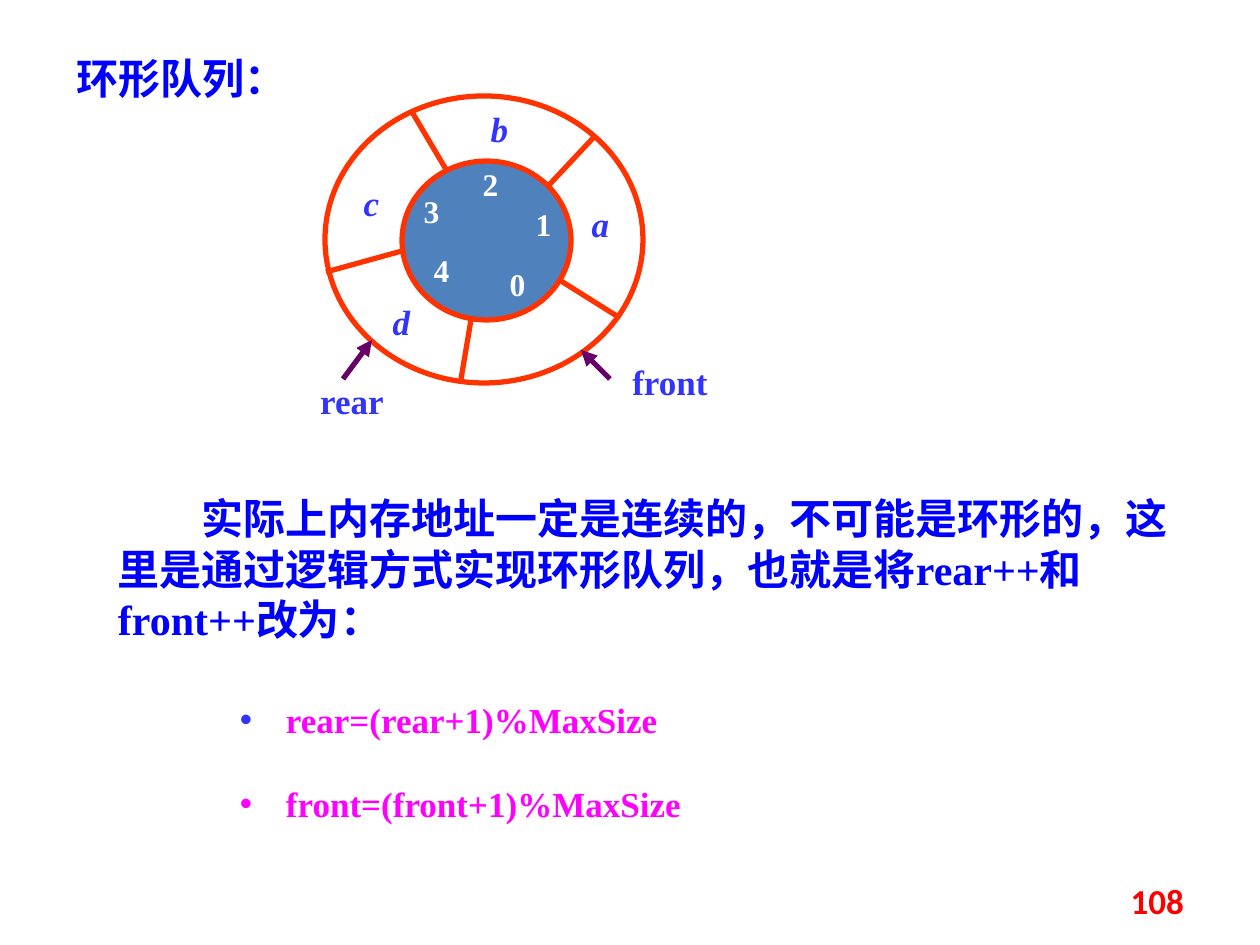
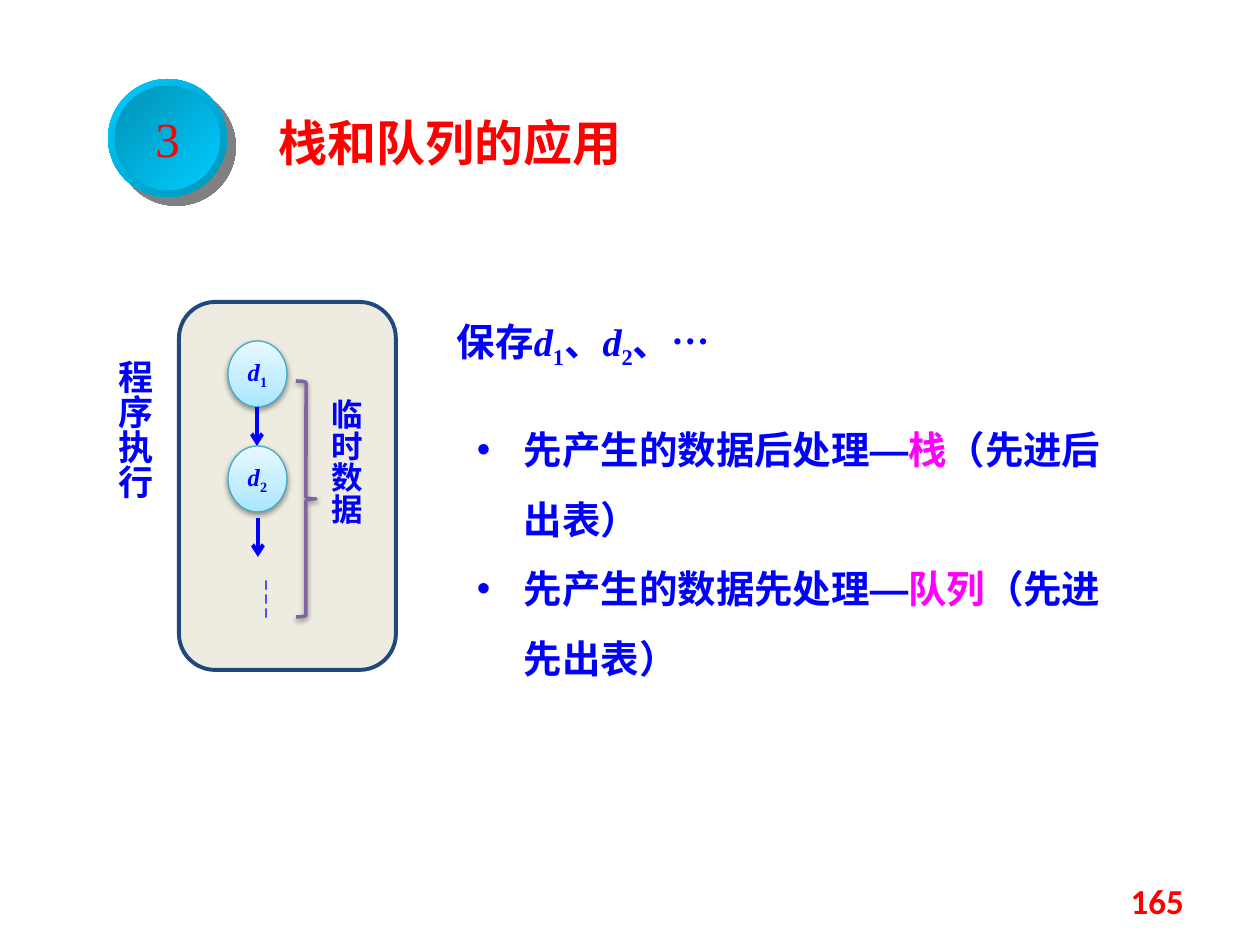
"""Builds two slides about circular queues and the uses of stacks and queues."""
from lxml import etree
from pptx import Presentation
from pptx.dml.color import RGBColor
from pptx.enum.shapes import MSO_CONNECTOR, MSO_SHAPE
from pptx.enum.text import MSO_ANCHOR, PP_ALIGN
from pptx.oxml.ns import qn
from pptx.util import Emu, Pt

SCALE = 914400 / 126
STRAIGHT = MSO_CONNECTOR.STRAIGHT
OVAL, ROUNDED, BRACE = MSO_SHAPE.OVAL, MSO_SHAPE.ROUNDED_RECTANGLE, MSO_SHAPE.RIGHT_BRACE
LEFT, CENTER, RIGHT = PP_ALIGN.LEFT, PP_ALIGN.CENTER, PP_ALIGN.RIGHT
TOP, MIDDLE = MSO_ANCHOR.TOP, MSO_ANCHOR.MIDDLE

SERIF, SANS, CJK, NUMBER_FONT = "Times New Roman", "Arial", "Noto Sans CJK SC", "Calibri"
WHITE = RGBColor(0xFF, 0xFF, 0xFF)
RED = RGBColor(0xFF, 0x00, 0x00)
BLUE = RGBColor(0x00, 0x00, 0xFF)
LABEL_BLUE = RGBColor(0x33, 0x33, 0xFF)
MAGENTA = RGBColor(0xFF, 0x00, 0xFF)
PURPLE = RGBColor(0x66, 0x00, 0x66)
RING_ORANGE = RGBColor(0xFF, 0x33, 0x00)
HUB_BLUE = RGBColor(0x4F, 0x81, 0xBD)
PANEL_FILL = RGBColor(0xEE, 0xEC, 0xE1)
PANEL_LINE = RGBColor(0x1F, 0x49, 0x7D)
NODE_LINE = RGBColor(0x46, 0xAA, 0xC5)
BRACE_LINE = RGBColor(0x80, 0x64, 0xA2)
CYAN = RGBColor(0x00, 0xCC, 0xFF)
TEAL = RGBColor(0x00, 0x92, 0xB6)
BLACK = RGBColor(0x00, 0x00, 0x00)
SHADOW_GREY = RGBColor(0x02, 0x02, 0x02)
NODE_STOPS = [(0, RGBColor(0xA7, 0xE6, 0xFF)), (35, RGBColor(0xC1, 0xED, 0xFF)),
              (100, RGBColor(0xE7, 0xF8, 0xFF))]
BADGE_SHADOW = (SHADOW_GREY, 50, 0, 7.1, 45)
SOFT_SHADOW = (BLACK, 38, 3.1, 1.6, 90)

RING_DIVIDERS = [
    (561, 281, 620, 318), (549, 185, 595, 136), (412, 112, 447, 171),
    (471, 320, 461, 379), (326, 272, 402, 251),
]
POINTER_ARROWS = [(610, 379, 581, 350), (343, 379, 372, 340)]
SLOT_NUMBERS = [("0", 498, 265), ("1", 524, 205), ("2", 471, 165), ("3", 412, 192), ("4", 422, 251)]
SLOT_VALUES = [("a", 581, 202), ("b", 480, 107), ("c", 352, 181), ("d", 382, 300)]
POINTER_NAMES = [("front", 620, 360), ("rear", 302, 379)]
RING_TITLE = "环形队列："
RING_NOTE = ("实际上内存地址一定是连续的，不可能是环形的，这里是通过逻辑方式实现环形队列，"
             "也就是将rear++和front++改为：")
RING_FORMULAS = [("rear=(rear+1)%MaxSize", LABEL_BLUE), ("front=(front+1)%MaxSize", MAGENTA)]

ITALIC = {"italic": True}
SUBSCRIPT = {"baseline": -25000}
DASH = ("―", {"font": SANS, "east_asian": SANS})
SAVED_ITEMS = [("保存", {}), ("d", ITALIC), ("1", SUBSCRIPT), ("、", {}), ("d", ITALIC),
               ("2", SUBSCRIPT), ("、", {}), ("…", {"font": SANS})]
ORDER_RULES = [
    ("先产生的数据后处理", "栈", "（先进后出表）"),
    ("先产生的数据先处理", "队列", "（先进先出表）"),
]
NODE_TOPS = {"1": 341, "2": 446}
NODE_ARROWS = [(257, 407, 257, 446), (258, 518, 258, 557)]
SIDE_LABELS = [("程序执行", 20, (100, 354, 69, 237)), ("临时数据", 18, (316, 393, 62, 197))]


def px(*lengths):
    return [Emu(round(length * SCALE)) for length in lengths]


def add_xml(parent, tag, **attributes):
    return etree.SubElement(parent, qn(tag), {key: str(value) for key, value in attributes.items()})


def add_run(paragraph, text, size, color, font=SERIF, east_asian=CJK, bold=True,
            italic=False, baseline=0):
    run = paragraph.add_run()
    run.text = text
    run.font.size, run.font.name = Pt(size), font
    run.font.bold, run.font.italic = bold, italic
    run.font.color.rgb = color
    properties = run.font._element
    add_xml(properties, "a:ea", typeface=east_asian)
    if baseline:
        properties.set("baseline", str(baseline))


def set_frame(text_frame, inset=(13, 6), anchor=TOP, wrap=True):
    text_frame.word_wrap = wrap
    text_frame.vertical_anchor = anchor
    horizontal, vertical = px(*inset)
    text_frame.margin_left = text_frame.margin_right = horizontal
    text_frame.margin_top = text_frame.margin_bottom = vertical


def add_text(slide, box, paragraphs, size, color, align=LEFT, line=None, vertical=False,
             inset=(13, 6), anchor=TOP, **style):
    text_frame = slide.shapes.add_textbox(*px(*box)).text_frame
    set_frame(text_frame, inset, anchor)
    if vertical:
        text_frame._txBody.bodyPr.set("vert", "eaVert")
    for index, runs in enumerate(paragraphs):
        paragraph = text_frame.add_paragraph() if index else text_frame.paragraphs[0]
        paragraph.alignment = align
        if line:
            paragraph.line_spacing = line
        for text, options in runs:
            add_run(paragraph, text, **{"size": size, "color": color, **style, **options})
    return text_frame.paragraphs


def set_indent(paragraph, margin, indent, bullet_color=None):
    properties = paragraph._p.get_or_add_pPr()
    margin, indent = px(margin, indent)
    properties.set("marL", str(margin))
    properties.set("indent", str(indent))
    if bullet_color is not None:
        add_xml(add_xml(properties, "a:buClr"), "a:srgbClr", val=bullet_color)
        add_xml(properties, "a:buFont", typeface=SANS)
        add_xml(properties, "a:buChar", char="•")


def add_figure(slide, kind, box, fill=None, line=None, width=0, gradient=None, shadow=None):
    shape = slide.shapes.add_shape(kind, *px(*box))
    shape.shadow.inherit = False
    if gradient:
        stops, angle = gradient
        element = etree.Element(qn("a:gradFill"), rotWithShape="1")
        stop_list = add_xml(element, "a:gsLst")
        for position, color in stops:
            add_xml(add_xml(stop_list, "a:gs", pos=position * 1000), "a:srgbClr", val=color)
        add_xml(element, "a:lin", ang=angle * 60000, scaled=0)
        shape._element.spPr.insert(2, element)
    elif fill is not None:
        shape.fill.solid()
        shape.fill.fore_color.rgb = fill
    else:
        shape.fill.background()
    if line is not None:
        shape.line.color.rgb = line
        shape.line.width = Pt(width)
    else:
        shape.line.fill.background()
    if shadow:
        color, alpha, blur, distance, angle = shadow
        effects = shape._element.spPr.find(qn("a:effectLst"))
        outer = add_xml(effects, "a:outerShdw", blurRad=Pt(blur), dist=Pt(distance),
                        dir=angle * 60000, algn="ctr", rotWithShape=0)
        add_xml(add_xml(outer, "a:srgbClr", val=color), "a:alpha", val=alpha * 1000)
    return shape


def add_line(slide, ends, color, width, head=None):
    connector = slide.shapes.add_connector(STRAIGHT, *px(*ends))
    connector.line.color.rgb = color
    connector.line.width = Pt(width)
    if head:
        add_xml(connector.line._ln, "a:tailEnd", type=head)
    add_xml(connector._element.spPr, "a:effectLst")


def add_slide(presentation, number):
    slide = presentation.slides.add_slide(presentation.slide_layouts[6])
    add_text(slide, (903, 876, 294, 50), [[(number, {})]], 20, RED, align=RIGHT,
             anchor=MIDDLE, font=NUMBER_FONT)
    return slide


def build_ring_slide(presentation):
    slide = add_slide(presentation, "108")
    add_figure(slide, OVAL, (402, 161, 169, 159), HUB_BLUE, RING_ORANGE, 3)
    add_figure(slide, OVAL, (325, 96, 318, 287), None, RING_ORANGE, 3)
    for ends in RING_DIVIDERS:
        add_line(slide, ends, RING_ORANGE, 3)
    for ends in POINTER_ARROWS:
        add_line(slide, ends, PURPLE, 3, "triangle")
    label_groups = [
        (SLOT_NUMBERS, (39, 38), 18, WHITE, False),
        (SLOT_VALUES, (39, 42), 20, LABEL_BLUE, True),
        (POINTER_NAMES, (100, 42), 20, LABEL_BLUE, False),
    ]
    for labels, extent, size, color, italic in label_groups:
        for text, left, top in labels:
            add_text(slide, (left, top, *extent), [[(text, {})]], size, color,
                     align=CENTER, inset=(0, 0), italic=italic)
    add_text(slide, (64, 46, 377, 63), [[(RING_TITLE, {})]], 24, BLUE, line=Pt(29))
    note = add_text(slide, (105, 486, 1096, 165), [[(RING_NOTE, {})]], 24, BLUE, line=Pt(29))
    set_indent(note[0], 0, 84)
    formulas = add_text(slide, (227, 672, 669, 161), [[(text, {})] for text, _ in RING_FORMULAS],
                        20, MAGENTA, line=1.5)
    for paragraph, (_, bullet_color) in zip(formulas, RING_FORMULAS):
        set_indent(paragraph, 46, -46, bullet_color)
    formulas[1].space_before = Pt(12)


def build_usage_slide(presentation):
    slide = add_slide(presentation, "165")
    add_figure(slide, ROUNDED, (179, 302, 217, 368), PANEL_FILL, PANEL_LINE, 2.25)
    add_figure(slide, OVAL, (108, 79, 119, 118), gradient=([(0, CYAN), (100, TEAL)], 45),
               shadow=BADGE_SHADOW)
    badge = add_figure(slide, OVAL, (115, 86, 105, 104), gradient=([(0, TEAL), (100, CYAN)], 45))
    set_frame(badge.text_frame, anchor=MIDDLE, wrap=False)
    badge.text_frame.paragraphs[0].alignment = CENTER
    add_run(badge.text_frame.paragraphs[0], "3", 28, RED, bold=False)
    add_text(slide, (266, 106, 384, 73), [[("栈和队列的应用", {})]], 28, RED, line=Pt(34), font=CJK)

    for digit, top in NODE_TOPS.items():
        node = add_figure(slide, OVAL, (228, top, 59, 66), line=NODE_LINE, width=0.75,
                          gradient=(NODE_STOPS, 270), shadow=SOFT_SHADOW)
        set_frame(node.text_frame, (0, 0), MIDDLE)
        paragraph = node.text_frame.paragraphs[0]
        paragraph.alignment = CENTER
        add_run(paragraph, "d", 14, BLUE, **ITALIC)
        add_run(paragraph, digit, 14, BLUE, **SUBSCRIPT)
    for ends in NODE_ARROWS:
        add_line(slide, ends, BLUE, 2.25, "arrow")
    add_text(slide, (233, 567, 49, 69), [[("┆", {})]], 24, LABEL_BLUE, align=CENTER,
             line=Pt(29), font=CJK)
    for text, size, box in SIDE_LABELS:
        add_text(slide, box, [[(text, {})]], size, BLUE, align=CENTER, line=Pt(size * 1.2),
                 vertical=True, font=CJK)
    add_figure(slide, BRACE, (296, 381, 20, 236), line=BRACE_LINE, width=2, shadow=SOFT_SHADOW)

    add_text(slide, (444, 318, 403, 59), [SAVED_ITEMS], 22, BLUE, line=Pt(26.5))
    rules = [[(cause, {}), DASH, (structure, {"color": MAGENTA}), (meaning, {})]
             for cause, structure, meaning in ORDER_RULES]
    for paragraph in add_text(slide, (464, 397, 668, 285), rules, 22, BLUE, line=Pt(39.7), font=CJK):
        set_indent(paragraph, 47, -47, BLUE)


def main():
    presentation = Presentation()
    presentation.slide_width, presentation.slide_height = px(1260, 945)
    build_ring_slide(presentation)
    build_usage_slide(presentation)
    presentation.save("out.pptx")


if __name__ == "__main__":
    main()
